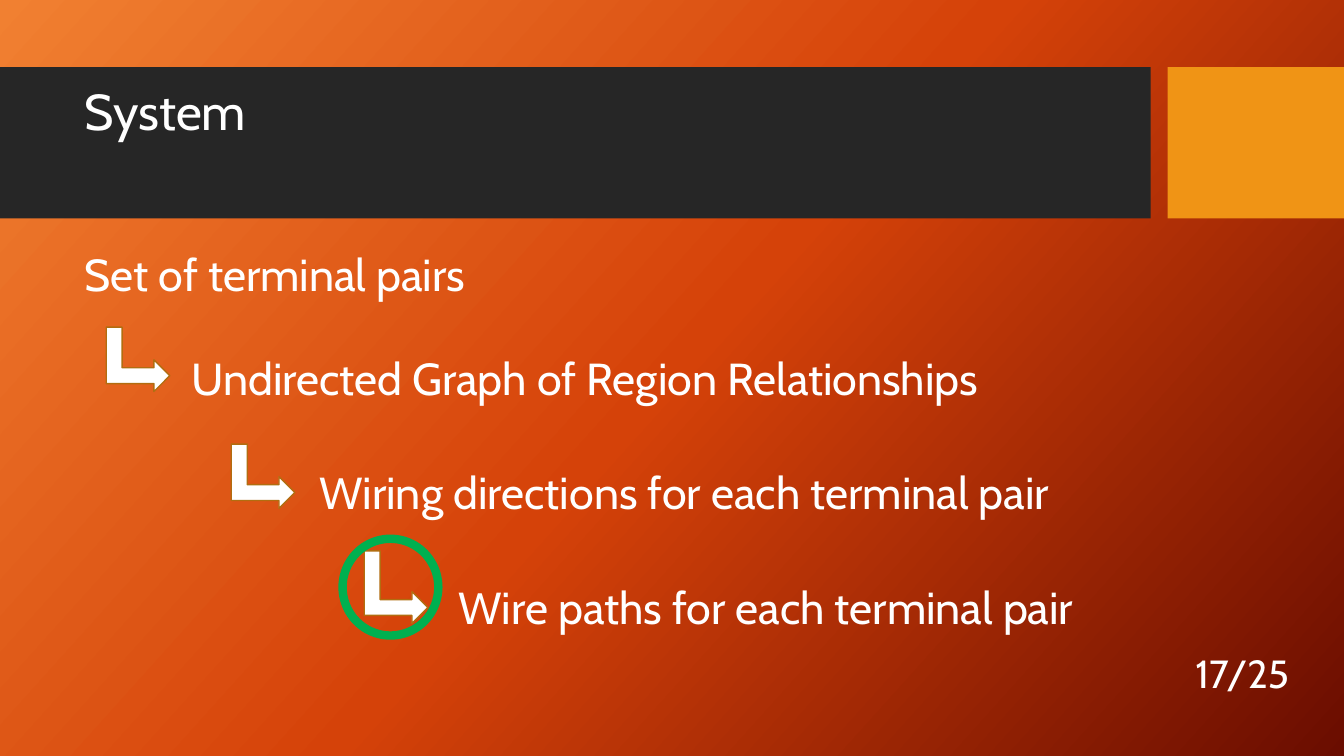
from copy import deepcopy
from dataclasses import dataclass

from pptx import Presentation
from pptx.dml.color import RGBColor
from pptx.enum.shapes import MSO_SHAPE
from pptx.enum.text import MSO_ANCHOR
from pptx.util import Pt


@dataclass(frozen=True)
class Theme:
    font: str = "Cabin"
    text: str = "FFFFFF"
    band: str = "262626"
    accent: str = "F09415"
    arrow_line: str = "B26D10"
    highlight: str = "00B050"
    gradient: tuple = ((0, "F18031"), (0.5, "D54209"), (1, "6A0D00"))
    gradient_angle: int = 42
    title_size: int = 36
    step_size: int = 32
    number_size: int = 28


THEME = Theme()
BLANK_LAYOUT = 6

# Each step: text, its left and top, and the box of the arrow leading to it
STEPS = (
    ("Set of terminal pairs", (53.3, 172.8), None),
    ("Undirected Graph of Region Relationships", (129.6, 247), (75.6, 234, 46, 45.4)),
    ("Wiring directions for each terminal pair", (221, 328.3), (164.9, 317.5, 46, 45.4)),
    ("Wire paths for each terminal pair", (320.4, 410.4), (257, 396.7, 51.8, 45.4)),
)
STEP_WIDTH, STEP_HEIGHT = 616, 46


def color(value):
    return RGBColor.from_string(value)


def paint_background(slide):
    fill = slide.background.fill
    fill.gradient()
    fill.gradient_angle = 360 - THEME.gradient_angle
    first_stop = slide.element.xpath(".//a:gsLst/a:gs")[0]
    first_stop.addnext(deepcopy(first_stop))
    for stop, (position, value) in zip(fill.gradient_stops, THEME.gradient):
        stop.position = position
        stop.color.rgb = color(value)


def add_figure(slide, kind, box, fill=None, line=None, line_width=1):
    shape = slide.shapes.add_shape(kind, *map(Pt, box))
    shape.shadow.inherit = False
    if fill:
        shape.fill.solid()
        shape.fill.fore_color.rgb = color(fill)
    else:
        shape.fill.background()
    if line:
        shape.line.color.rgb = color(line)
        shape.line.width = Pt(line_width)
    else:
        shape.line.fill.background()
    return shape


def add_text(slide, text, box, size, anchor=MSO_ANCHOR.TOP, line_spacing=1.0):
    frame = slide.shapes.add_textbox(*map(Pt, box)).text_frame
    frame.word_wrap = True
    frame.vertical_anchor = anchor
    paragraph = frame.paragraphs[0]
    paragraph.text = text
    paragraph.line_spacing = line_spacing
    paragraph.font.name = THEME.font
    paragraph.font.size = Pt(size)
    paragraph.font.color.rgb = color(THEME.text)


def add_header(slide, title, left, top, width, height):
    accent_width, gap = 126, 12
    band_width = width - accent_width - gap
    add_figure(slide, MSO_SHAPE.RECTANGLE, (left, top, band_width, height), THEME.band)
    add_figure(slide, MSO_SHAPE.RECTANGLE,
               (left + width - accent_width, top, accent_width, height), THEME.accent)
    add_text(slide, title, (left + 53.3, top + 10.8, 756.7, 85),
             THEME.title_size, line_spacing=0.9)


def add_step(slide, text, position, arrow_box):
    add_text(slide, text, (*position, STEP_WIDTH, STEP_HEIGHT), THEME.step_size)
    if arrow_box:
        arrow = add_figure(slide, MSO_SHAPE.BENT_UP_ARROW, arrow_box,
                           THEME.text, THEME.arrow_line)
        arrow.rotation = 90


def add_highlight(slide, box):
    """Ring the arrow that occupies the box."""
    left, top, width, height = box
    ring_width, ring_height = 68.4, 69.1
    ring_box = (left + (width - ring_width) / 2 - 4, top + (height - ring_height) / 2,
                ring_width, ring_height)
    add_figure(slide, MSO_SHAPE.OVAL, ring_box, line=THEME.highlight, line_width=6)


def build_system_slide(presentation):
    slide = presentation.slides.add_slide(presentation.slide_layouts[BLANK_LAYOUT])
    paint_background(slide)
    add_header(slide, "System", 0, 48, 960, 108)
    for step in STEPS:
        add_step(slide, *step)
    add_highlight(slide, STEPS[-1][2])
    add_text(slide, "17/25", (846.7, 437.8, 90.7, 85.7), THEME.number_size,
             MSO_ANCHOR.MIDDLE)


def main():
    presentation = Presentation()
    presentation.slide_width, presentation.slide_height = Pt(960), Pt(540)
    build_system_slide(presentation)
    presentation.save("out.pptx")


if __name__ == "__main__":
    main()
